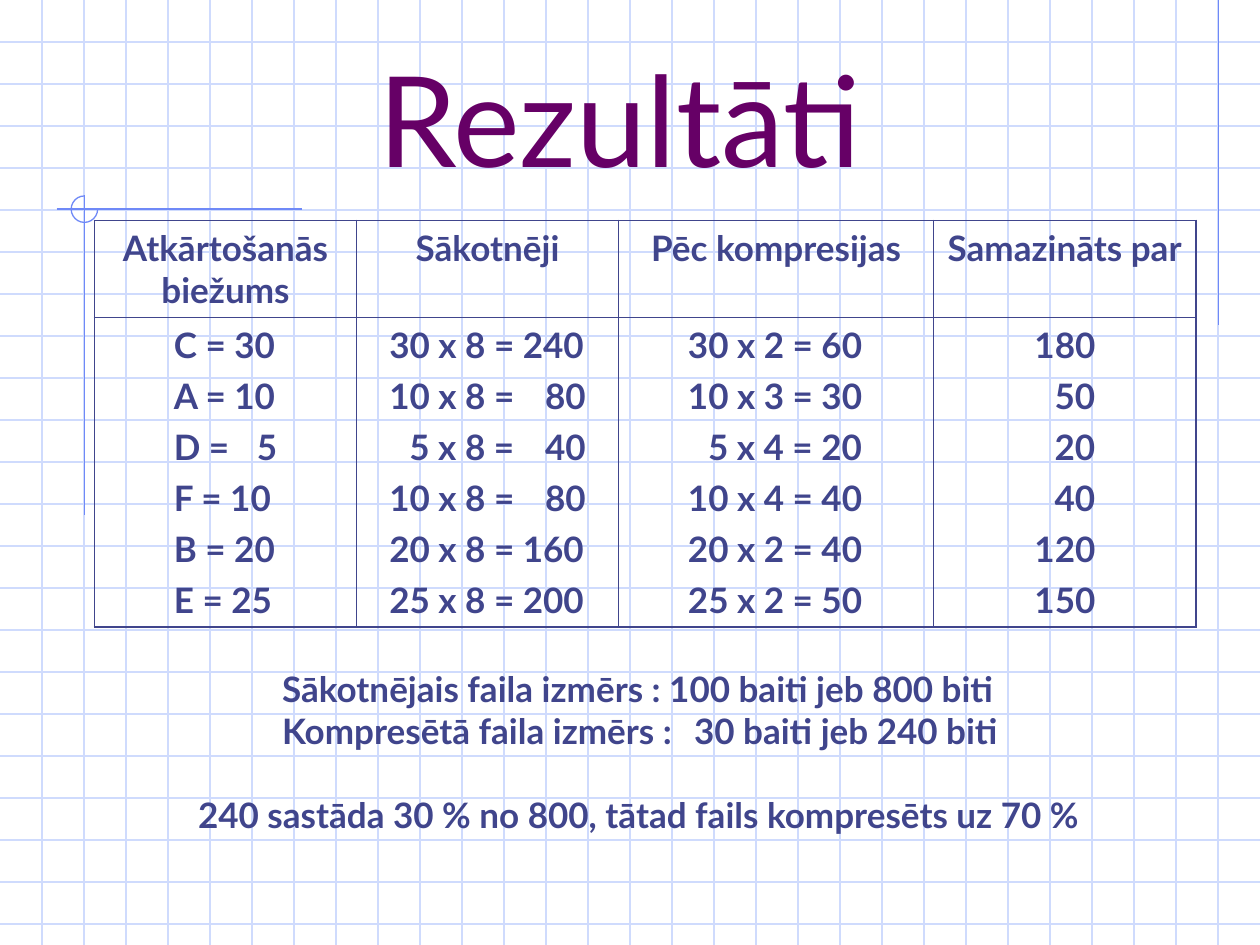
from lxml import etree
from pptx import Presentation
from pptx.dml.color import RGBColor
from pptx.enum import shapes, text
from pptx.oxml import ns
from pptx.util import Inches, Pt

HUE = {"grid": "CFDBFD", "mark": "6F89F7", "title": "660066", "ink": "40458C"}
BODY = {"name": "Lato", "size": Pt(20), "bold": True}
HEAD = {"name": "Lato", "size": Pt(72), "bold": False}
MID, LEFT = text.PP_ALIGN.CENTER, text.PP_ALIGN.LEFT
INDENT = 0.16  # width of one digit

# heading, left margin, right tab stop, lines
COLS = [
    ("Atkārtošanās biežums", 0.63, 0.82,
     ["C = 30", "A = 10", "D =\t5", "F = 10", "B = 20", "E = 25"]),
    ("Sākotnēji", 0.26, 1.56,
     ["30 x 8 = 240", "10 x 8 =\t80", "\t5 x 8 =\t40",
      "10 x 8 =\t80", "20 x 8 = 160", "25 x 8 = 200"]),
    ("Pēc kompresijas", 0.55, 1.4,
     ["30 x 2 = 60", "10 x 3 = 30", "\t5 x 4 = 20",
      "10 x 4 = 40", "20 x 2 = 40", "25 x 2 = 50"]),
    ("Samazināts par", 0.8, 0.5,
     ["180", "\t50", "\t20", "\t40", "120", "150"]),
]
WIDTHS = [2.08, 2.08, 2.5, 2.08]
ROWS = [0.77, 2.45]
SUMS = ["\tSākotnējais faila izmērs : 100 baiti jeb 800 biti",
        "\tKompresētā faila izmērs :\t30 baiti jeb 240 biti"]
CLAIM = "240 sastāda 30 % no 800, tātad fails kompresēts uz 70 %"


def color(key):
    return RGBColor.from_string(HUE[key])


def sub(parent, tag, **attrs):
    return etree.SubElement(parent, ns.qn(tag), attrs)


def write(par, line, form, key, align, stops=()):
    """Fill a paragraph; stops are (inches, "l" or "r") tab stops."""
    if stops:
        tabs = sub(par._p.get_or_add_pPr(), "a:tabLst")
        for pos, side in stops:
            sub(tabs, "a:tab", pos=str(Inches(pos)), algn=side)
    par.alignment = align
    run = par.add_run()
    run.text = line
    for name, value in form.items():
        setattr(run.font, name, value)
    run.font.color.rgb = color(key)


def fill(frame, lines, align, stops=(), gap=0):
    """Write body lines, with a gap in points between them."""
    for i, line in enumerate(lines):
        par = frame.add_paragraph() if i else frame.paragraphs[0]
        if i and gap:
            par.space_before = Pt(gap)
        write(par, line, BODY, "ink", align, stops)


def rule(slide, x1, y1, x2, y2, key):
    line = slide.shapes.add_connector(
        shapes.MSO_CONNECTOR.STRAIGHT, *map(Inches, (x1, y1, x2, y2)))
    line.line.color.rgb = color(key)
    line.line.width = Pt(0.75)
    sub(line._element.spPr, "a:effectLst")


def grid(slide, wide, high, step):
    for i in range(1, int(high / step) + 1):
        rule(slide, 0, i * step, wide, i * step, "grid")
    for i in range(1, round(wide / step)):
        rule(slide, i * step, 0, i * step, high, "grid")


def marks(slide, x, y):
    """Draw the drafting lines, with the corner arc centred at x, y."""
    rule(slide, x + 9, 0, x + 9, 2.58, "mark")
    rule(slide, x - 0.22, y, x + 1.73, y, "mark")
    rule(slide, x, y - 0.11, x, y + 2.43, "mark")
    rad = 0.105
    arc = slide.shapes.add_shape(
        shapes.MSO_SHAPE.ARC,
        *map(Inches, (x - rad, y - rad, 2 * rad, 2 * rad)))
    arc.adjustments[0], arc.adjustments[1] = 0, 162  # 270 degrees
    arc.shadow.inherit = False
    arc.fill.background()
    arc.line.color.rgb = color("mark")
    arc.line.width = Pt(0.75)


def heading(slide, box):
    title = slide.shapes.title
    title.element.getparent().append(title.element)  # in front of the grid
    title.left, title.top, title.width, title.height = map(Inches, box)
    frame = title.text_frame
    frame.auto_size = text.MSO_AUTO_SIZE.NONE
    frame.vertical_anchor = text.MSO_ANCHOR.BOTTOM
    write(frame.paragraphs[0], "Rezultāti", HEAD, "title", MID)


def border(cell, heavy):
    """Draw all four sides; those in heavy are thick."""
    props = cell._tc.get_or_add_tcPr()
    for i, side in enumerate("LRTB"):
        width = Pt(1.08 if side in heavy else 0.45)
        line = etree.Element(ns.qn(f"a:ln{side}"), w=str(width))
        sub(sub(line, "a:solidFill"), "a:srgbClr", val=HUE["ink"])
        props.insert(i, line)


def results(slide, box):
    table = slide.shapes.add_table(
        len(ROWS), len(COLS), *map(Inches, box)).table
    table.first_row = table.horz_banding = False
    for row, high in zip(table.rows, ROWS):
        row.height = Inches(high)
    last = len(COLS) - 1
    for c, (head, left, stop, lines) in enumerate(COLS):
        table.columns[c].width = Inches(WIDTHS[c])
        top, low = table.cell(0, c), table.cell(1, c)
        fill(top.text_frame, [head], MID)
        low.margin_left, low.margin_right = Inches(left), 0
        fill(low.text_frame, lines, LEFT,
             [(INDENT, "l"), (stop, "r")], gap=5)
        ends = "L" * (c == 0) + "R" * (c == last)
        for cell, edge in ((top, "T"), (low, "B")):
            cell.fill.background()
            border(cell, ends + edge)


def summary(slide, box):
    frame = slide.shapes.add_textbox(*map(Inches, box)).text_frame
    frame.word_wrap = True
    fill(frame, SUMS, LEFT, [(1.02, "l"), (4.29, "l")])
    par = frame.add_paragraph()
    par.space_before = Pt(24)
    write(par, CLAIM, BODY, "ink", MID)


def main():
    deck = Presentation()
    deck.slide_width, deck.slide_height = Inches(10), Inches(7.5)
    slide = deck.slides.add_slide(deck.slide_layouts[5])
    grid(slide, 10, 7.5, 1 / 3)
    marks(slide, 0.67, 1.66)
    heading(slide, (0.67, 0.33, 8.5, 1.25))
    results(slide, (0.75, 1.75, sum(WIDTHS), sum(ROWS)))
    summary(slide, (1.12, 5.25, 7.9, 1.44))
    deck.save("out.pptx")


if __name__ == "__main__":
    main()
